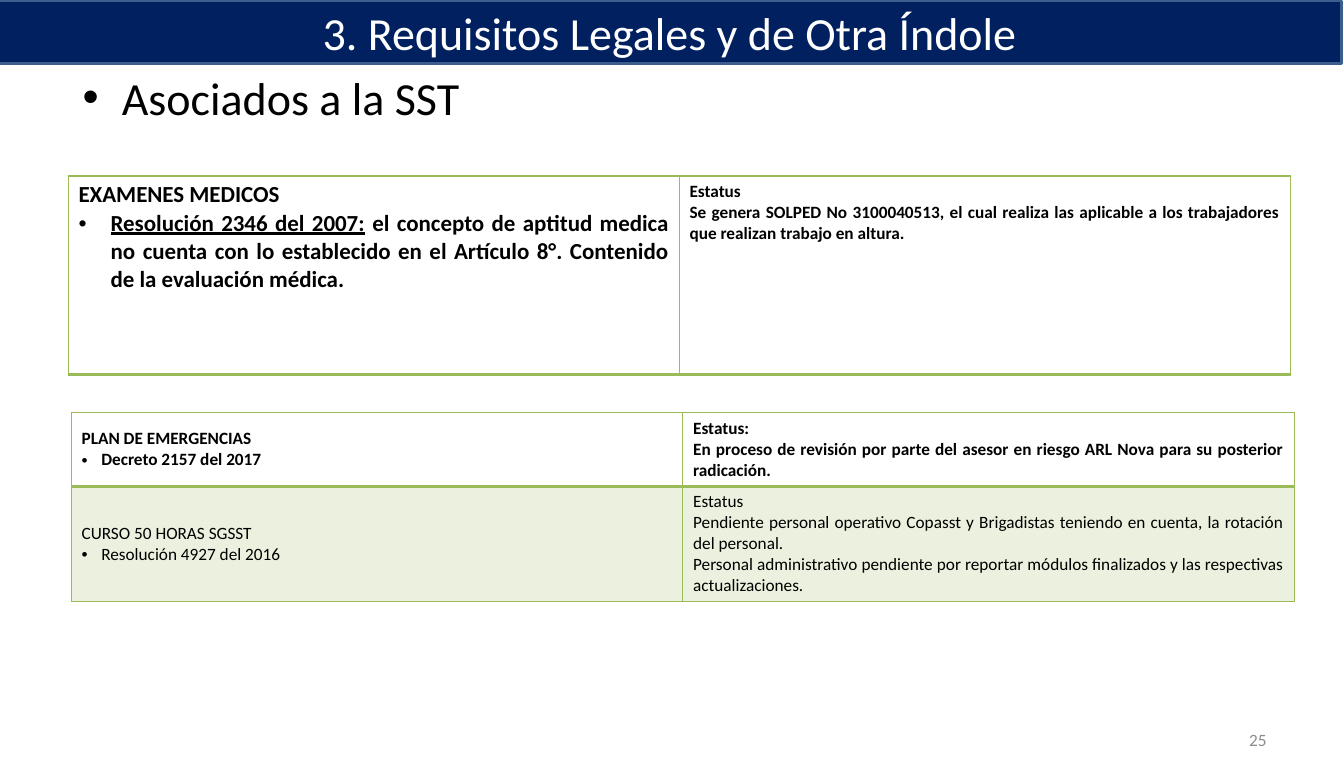
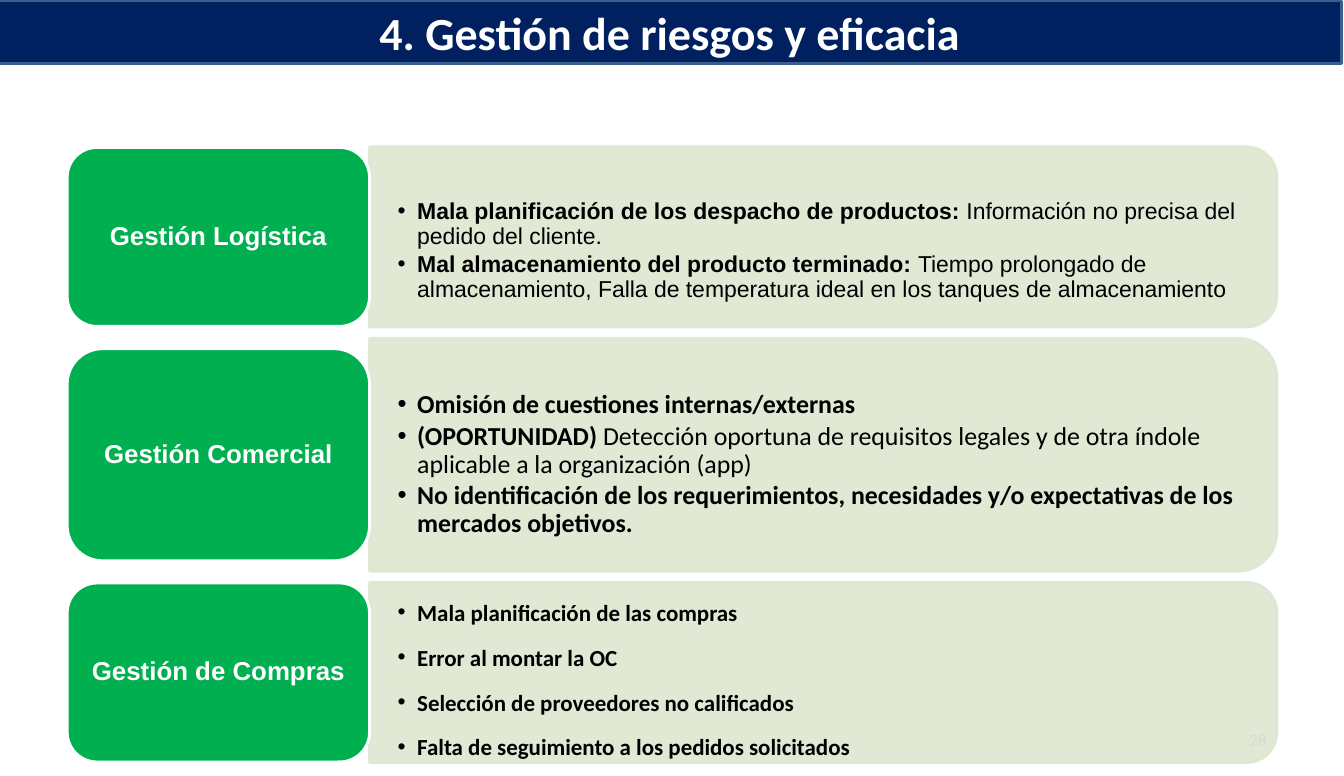
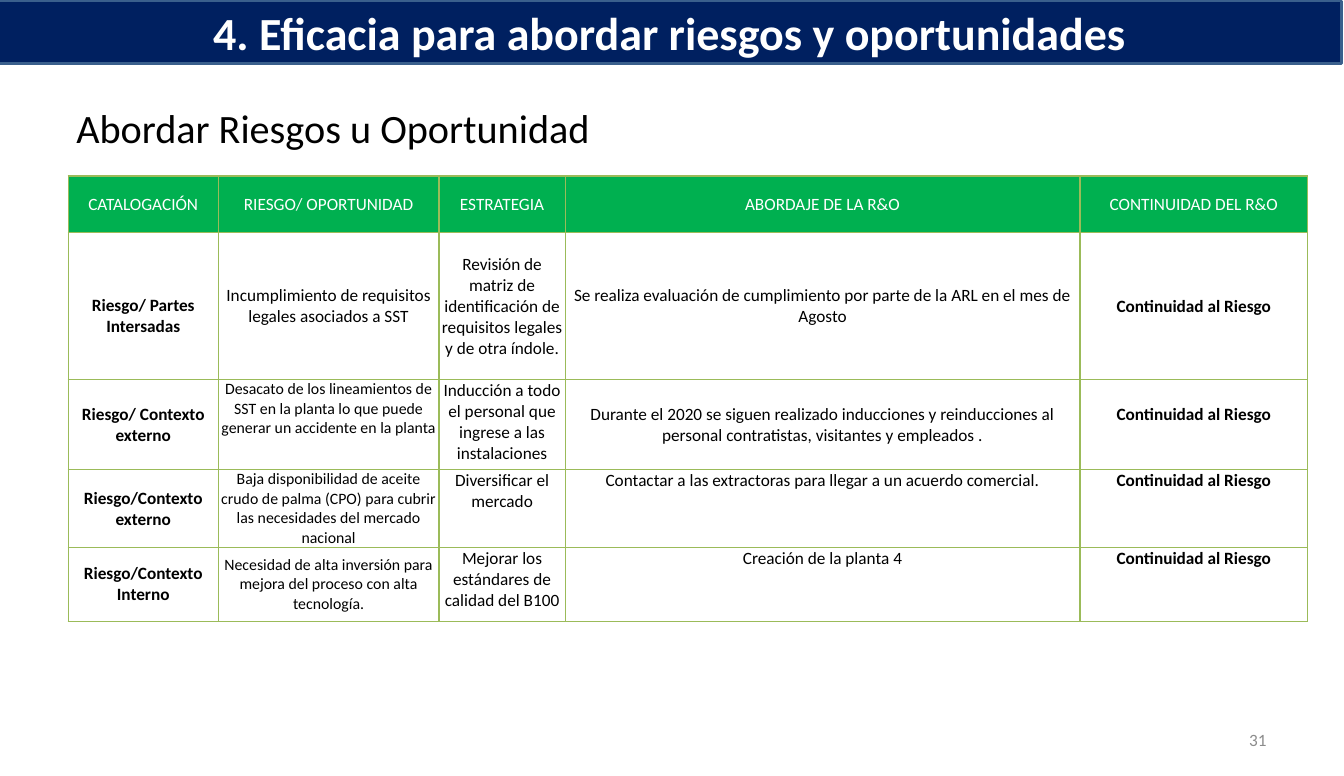
from dataclasses import dataclass

from lxml import etree
from pptx import Presentation
from pptx import util as u
from pptx.dml import color as dml
from pptx.enum import shapes, text
from pptx.oxml import ns


@dataclass(frozen=True)
class Theme:
    font: str = "Calibri"
    alt_font: str = "Arial"
    ink: str = "000000"
    white: str = "FFFFFF"
    navy: str = "002060"
    navy_edge: str = "3A5F8C"
    green: str = "00B050"
    rule: str = "9BBB59"
    tint: str = "EBF1DE"
    sage: str = "DEE7D1"
    grey: str = "8C8C8C"
    title: int = 32
    heading: int = 28
    label: int = 18
    lead: int = 16
    body: int = 12
    small: int = 11


T = Theme()
WIDTH, HEIGHT = u.Inches(12.99), u.Inches(7.5)
COL, ROW = WIDTH / 130, HEIGHT / 75
LEFT, CENTER, RIGHT, JUSTIFY = (
    text.PP_ALIGN.LEFT, text.PP_ALIGN.CENTER, text.PP_ALIGN.RIGHT, text.PP_ALIGN.JUSTIFY)
TOP, MIDDLE = text.MSO_ANCHOR.TOP, text.MSO_ANCHOR.MIDDLE


@dataclass(frozen=True)
class Box:
    left: float
    top: float
    width: float
    height: float

    def emu(self):
        return (round(self.left * COL), round(self.top * ROW),
                round(self.width * COL), round(self.height * ROW))


@dataclass(frozen=True)
class Cell:
    paragraphs: list
    anchor: object = TOP
    margins: tuple = (0.1, 0.05, 0.1, 0.05)
    fill: str = ""


def para(words, **style):
    return words, style


def rgb(value):
    return dml.RGBColor.from_string(value)


def write(frame, words, lead="", lead_bold=None, underline=False, size=T.body, color=T.ink,
          font=T.font, bold=False, align=LEFT, indent=0, line=None, after=0):
    paragraph = frame.paragraphs[0]
    if paragraph.runs:
        paragraph = frame.add_paragraph()
    paragraph.alignment = align
    paragraph.space_before = u.Pt(0)
    paragraph.space_after = u.Pt(after)
    if line:
        paragraph.line_spacing = line
    if indent:
        props = paragraph._p.get_or_add_pPr()
        props.set("marL", str(u.Inches(indent)))
        props.set("indent", str(-u.Inches(indent)))
        etree.SubElement(props, ns.qn("a:buFont")).set("typeface", T.alt_font)
        etree.SubElement(props, ns.qn("a:buChar")).set("char", "•")
    lead_weight = bold if lead_bold is None else lead_bold
    for part, weight, lined in ((lead, lead_weight, underline), (words, bold, False)):
        if part:
            run = paragraph.add_run()
            run.text = part
            run.font.name, run.font.size = font, u.Pt(size)
            run.font.bold, run.font.underline = weight, lined
            run.font.color.rgb = rgb(color)


def fit(frame, anchor, margins=(0.1, 0.05, 0.1, 0.05)):
    frame.word_wrap = True
    frame.auto_size = text.MSO_AUTO_SIZE.NONE
    frame.vertical_anchor = anchor
    (frame.margin_left, frame.margin_top,
     frame.margin_right, frame.margin_bottom) = map(u.Inches, margins)
    return frame


def text_area(slide, box, anchor=TOP, **layout):
    return fit(slide.shapes.add_textbox(*box.emu()).text_frame, anchor, **layout)


def paint(shape, fill, edge):
    shape.fill.solid()
    shape.fill.fore_color.rgb = rgb(fill)
    shape.line.color.rgb = rgb(edge)
    shape.line.width = u.Pt(2)


def new_slide(deck, title, number, bold=True):
    slide = deck.slides.add_slide(deck.slide_layouts[5])
    band = slide.shapes.title
    band.left, band.top, band.width, band.height = Box(-0.2, 0.1, 130, 6).emu()
    paint(band, T.navy, T.navy_edge)
    write(fit(band.text_frame, MIDDLE), title, size=T.title, color=T.white,
          bold=bold, align=CENTER)
    page = text_area(slide, Box(93.2, 69.5, 30.3, 4), MIDDLE)
    write(page, str(number), color=T.grey, align=RIGHT)
    return slide


def border(cell, widths):
    props = cell._tc.get_or_add_tcPr()
    for index, (side, width) in enumerate(widths.items()):
        edge = etree.Element(ns.qn("a:ln" + side), w=str(u.Pt(width)))
        fill = etree.SubElement(edge, ns.qn("a:solidFill"))
        etree.SubElement(fill, ns.qn("a:srgbClr")).set("val", T.rule)
        props.insert(index, edge)


def ruled_table(slide, box, columns, rows, cells, first_rule=1):
    table = slide.shapes.add_table(len(rows), len(columns), *box.emu()).table
    table.first_row = table.horz_banding = False
    for column, share in zip(table.columns, columns):
        column.width = round(box.width * COL * share / sum(columns))
    for row, share in zip(table.rows, rows):
        row.height = round(box.height * ROW * share / sum(rows))
    for r, line in enumerate(cells):
        for c, content in enumerate(line):
            cell = table.cell(r, c)
            cell.vertical_anchor = content.anchor
            (cell.margin_left, cell.margin_top,
             cell.margin_right, cell.margin_bottom) = map(u.Inches, content.margins)
            if content.fill:
                cell.fill.solid()
                cell.fill.fore_color.rgb = rgb(content.fill)
            else:
                cell.fill.background()
            border(cell, {"L": 1, "R": 1, "T": first_rule if r == 1 else 1,
                          "B": first_rule if r == 0 else 1})
            for words, style in content.paragraphs:
                write(cell.text_frame, words, **style)


def process_row(slide, box, process, label_height, risks, drop=0, **style):
    label_width = box.width * 0.25
    x, y, width, height = Box(box.left + label_width, box.top,
                              box.width - label_width, box.height).emu()
    panel = slide.shapes.add_shape(
        shapes.MSO_SHAPE.ROUND_2_SAME_RECTANGLE, x + (width - height) // 2,
        y + (height - width) // 2, height, width)
    panel.rotation = 90
    panel.shadow.inherit = False
    paint(panel, T.sage, T.sage)
    for tone in panel._element.spPr.iter(ns.qn("a:srgbClr")):
        etree.SubElement(tone, ns.qn("a:alpha")).set("val", "90000")

    words_box = Box(box.left + label_width, box.top + 0.9,
                    box.width - label_width - 0.8, box.height - 1.8)
    frame = text_area(slide, words_box, MIDDLE, margins=(0.27, 0.14 + drop, 0.27, 0.14))
    for words, extra in risks:
        write(frame, words, indent=0.19, after=2.5, **{**style, **extra})

    label_top = box.top + (box.height - label_height) / 2
    label = slide.shapes.add_shape(
        shapes.MSO_SHAPE.ROUNDED_RECTANGLE,
        *Box(box.left, label_top, label_width, label_height).emu())
    label.shadow.inherit = False
    paint(label, T.green, T.white)
    write(fit(label.text_frame, MIDDLE, (0.07, 0.04, 0.07, 0.04)), process,
          size=T.label, font=T.alt_font, color=T.white, bold=True, align=CENTER, line=0.9)


def legal_slide(deck):
    slide = new_slide(deck, "3. Requisitos Legales y de Otra Índole", 25, bold=False)
    write(text_area(slide, Box(7, 6.2, 79, 6.6)), "Asociados a la SST",
          size=T.title, indent=0.38)
    strong = dict(bold=True, align=JUSTIFY)
    exams = Cell([
        para("EXAMENES MEDICOS", size=T.lead, bold=True),
        para(" el concepto de aptitud medica no cuenta con lo establecido en el Artículo 8°. "
             "Contenido de la evaluación médica.", lead="Resolución 2346 del 2007:",
             underline=True, size=T.lead, indent=0.31, **strong)])
    exams_status = Cell([
        para("Estatus", **strong),
        para("Se genera SOLPED No 3100040513, el cual realiza las aplicable a los trabajadores "
             "que realizan trabajo en altura.", **strong)])
    ruled_table(slide, Box(6.6, 17, 118.2, 19.2), (1, 1), (1,),
                [[exams, exams_status]], first_rule=2)

    emergency = Cell([para("PLAN DE EMERGENCIAS", bold=True),
                      para("Decreto 2157 del 2017", indent=0.19, **strong)], MIDDLE)
    emergency_status = Cell([
        para("Estatus:", **strong),
        para("En proceso de revisión por parte del asesor en riesgo ARL Nova para su posterior "
             "radicación.", **strong)])
    course = Cell([para("CURSO 50 HORAS SGSST"),
                   para("Resolución 4927 del 2016", indent=0.19)], MIDDLE, fill=T.tint)
    course_status = Cell([
        para(words, align=JUSTIFY) for words in (
            "Estatus",
            "Pendiente personal operativo Copasst y Brigadistas teniendo en cuenta, la rotación "
            "del personal.",
            "Personal administrativo pendiente por reportar módulos finalizados y las "
            "respectivas actualizaciones.")], fill=T.tint)
    ruled_table(slide, Box(6.9, 39.9, 118.3, 18.2), (1, 1), (7.1, 11.1),
                [[emergency, emergency_status], [course, course_status]], first_rule=2)


def risk_slide(deck):
    slide = new_slide(deck, "4. Gestión de riesgos y eficacia", 28)
    logistics = [
        para("Información no precisa del pedido del cliente.",
             lead="Mala planificación de los despacho de productos: ", lead_bold=True),
        para("Tiempo prolongado de almacenamiento, Falla de temperatura ideal en los tanques "
             "de almacenamiento",
             lead="Mal almacenamiento del producto terminado: ", lead_bold=True)]
    commercial = [
        para("Omisión de cuestiones internas/externas", bold=True),
        para("Detección oportuna de requisitos legales y de otra índole aplicable a la "
             "organización (app)", lead="(OPORTUNIDAD) ", lead_bold=True),
        para("No identificación de los requerimientos, necesidades y/o expectativas de los "
             "mercados objetivos.", bold=True)]
    purchasing = [para(words, bold=True) for words in (
        "Mala planificación de las compras", "Error al montar la OC",
        "Selección de proveedores no calificados",
        "Falta de seguimiento a los pedidos solicitados")]
    processes = (
        ("Gestión Logística", 17.4, 17.3, logistics,
         dict(drop=0.27, size=T.lead, font=T.alt_font, line=0.9)),
        ("Gestión Comercial", 22.5, 20.5, commercial,
         dict(drop=0.2, size=T.label, line=0.9)),
        ("Gestión de Compras", 17.4, 17.3, purchasing,
         dict(size=T.lead, line=1.5)))
    top, gap = 14.2, 1.1
    for process, height, label_height, risks, style in processes:
        process_row(slide, Box(6.5, top, 117, height), process, label_height, risks, **style)
        top += height + gap


def strategy_slide(deck):
    slide = new_slide(deck, "4. Eficacia para abordar riesgos y oportunidades", 31)
    write(text_area(slide, Box(6.4, 8.4, 79.8, 7.9), MIDDLE),
          "Abordar Riesgos u Oportunidad", size=T.heading)

    def entry(words, anchor=MIDDLE, above=0, below=0, fill="", **style):
        return Cell([para(words, align=CENTER, **style)], anchor, (0, above, 0, below), fill)

    def outcome(anchor=TOP, **style):
        return entry("Continuidad al Riesgo", anchor, bold=True, **style)

    header = [entry(words, fill=T.green, color=T.white) for words in (
        "CATALOGACIÓN", "RIESGO/ OPORTUNIDAD", "ESTRATEGIA", "ABORDAJE DE LA R&O",
        "CONTINUIDAD DEL R&O")]
    stakeholders = [
        entry("Riesgo/ Partes Intersadas", above=0.2, bold=True),
        entry("Incumplimiento de requisitos legales asociados a SST"),
        entry("Revisión de matriz de identificación de requisitos legales y de otra índole."),
        entry("Se realiza evaluación de cumplimiento por parte de la ARL en el mes de Agosto"),
        outcome(MIDDLE)]
    safety = [
        entry("Riesgo/ Contexto externo", bold=True),
        entry("Desacato de los lineamientos de SST en la planta lo que puede generar un "
              "accidente en la planta", TOP, size=T.small),
        entry("Inducción a todo el personal que ingrese a las instalaciones", TOP),
        entry("Durante el 2020 se siguen realizado inducciones y reinducciones al personal "
              "contratistas, visitantes y empleados ."),
        outcome(MIDDLE, below=0.2)]
    supply = [
        entry("Riesgo/Contexto externo", bold=True),
        entry("Baja disponibilidad de aceite crudo de palma (CPO) para cubrir las necesidades "
              "del mercado nacional", size=T.small),
        entry("Diversificar el mercado", TOP),
        entry("Contactar a las extractoras para llegar a un acuerdo comercial.", TOP),
        outcome()]
    investment = [
        entry("Riesgo/Contexto Interno", bold=True),
        entry("Necesidad de alta inversión para mejora del proceso con alta tecnología.",
              size=T.small),
        entry("Mejorar los estándares de calidad del B100", TOP),
        entry("Creación de la planta 4", TOP),
        outcome()]
    ruled_table(slide, Box(6.6, 17, 119.9, 43), (1.45, 2.13, 1.22, 4.97, 2.2),
                (5.5, 14.2, 8.7, 7.5, 7.1),
                [header, stakeholders, safety, supply, investment])


def main():
    deck = Presentation()
    deck.slide_width, deck.slide_height = WIDTH, HEIGHT
    legal_slide(deck)
    risk_slide(deck)
    strategy_slide(deck)
    deck.save("out.pptx")


if __name__ == "__main__":
    main()
